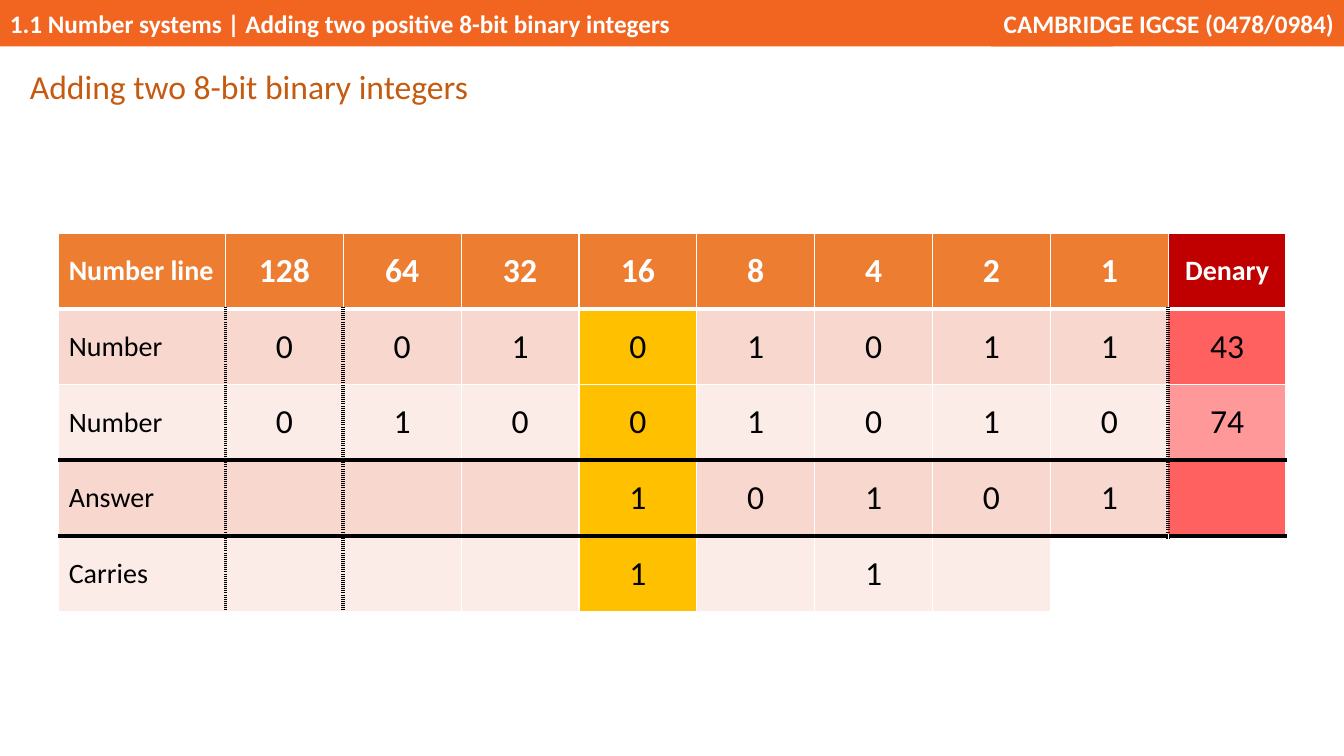
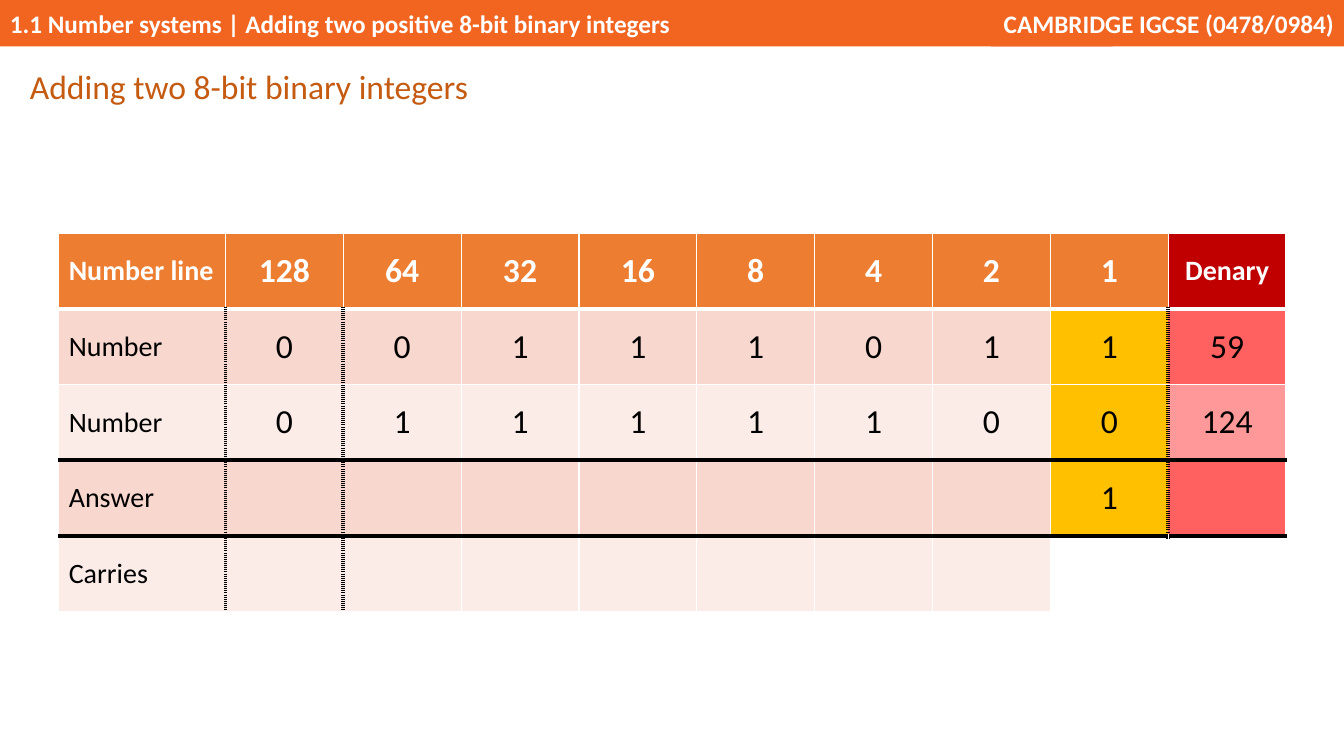
import pptx
import pptx.dml.color
import pptx.enum.shapes
import pptx.enum.text
import pptx.oxml.ns
import pptx.util
from lxml import etree

Cm = pptx.util.Cm
Align = pptx.enum.text.PP_ALIGN
Anchor = pptx.enum.text.MSO_ANCHOR

# Shared colours
BAND, TITLE, HIGHLIGHT = "F26521", "C55A11", "FFC000"
WHITE, BLACK = "FFFFFF", "000000"
HEADER, DENARY_HEADER = "ED7D31", "C00000"
ROW_FILLS = ["F8D7CE", "FCECE8"]
DENARY_FILLS = ["FF6161", "FF9999"]


def rgb(value):
    return pptx.dml.color.RGBColor.from_string(value)


def write(frame, text, size=24, color=BLACK, bold=False, align=Align.LEFT,
          line_spacing=None, space_after=None):
    paragraph = frame.paragraphs[0]
    paragraph.alignment = align
    paragraph.line_spacing = line_spacing
    paragraph.space_after = space_after
    run = paragraph.add_run()
    run.text = text
    run.font.name = "Calibri"
    run.font.size = pptx.util.Pt(size)
    run.font.bold = bold
    run.font.color.rgb = rgb(color)


# Slide content: each sum and the column being added
HEADINGS = ["Number line", "128", "64", "32", "16", "8", "4", "2", "1", "Denary"]
LABELS = ["Number", "Number", "Answer", "Carries"]
BITS_COLUMN, DENARY_COLUMN = 8, 9
CARRIES_ROW = 4
sums = [
    {"active": 4, "rows": [
        ["0", "0", "1", "0", "1", "0", "1", "1", "43"],
        ["0", "1", "0", "0", "1", "0", "1", "0", "74"],
        ["", "", "", "1", "0", "1", "0", "1", ""],
        ["", "", "", "1", "", "1", "", "", ""]]},
    {"active": 8, "rows": [
        ["0", "0", "1", "1", "1", "0", "1", "1", "59"],
        ["0", "1", "1", "1", "1", "1", "0", "0", "124"],
        ["", "", "", "", "", "", "", "1", ""],
        [""] * 9]},
]

# Rules between cells: (colour, points, dash)
THIN = (WHITE, 1, "solid")
HEADER_RULE = (WHITE, 3, "solid")
SUM_RULE = (BLACK, 3, "solid")
DOTTED = (BLACK, 3, "dot")
ROW_RULES = {1: HEADER_RULE, 3: SUM_RULE, 4: SUM_RULE}
DOTTED_EDGES = [1, 2, 9]

deck = pptx.Presentation()
deck.slide_width, deck.slide_height = Cm(33.87), Cm(19.05)
layout = deck.slide_layouts[5]
for holder in list(layout.placeholders):
    if holder.placeholder_format.type != pptx.enum.shapes.PP_PLACEHOLDER.TITLE:
        holder.element.getparent().remove(holder.element)
slides = [deck.slides.add_slide(layout) for _ in sums]

# Header bands, moved to the layout so that all slides share them
for left, width, words, align in [
        (0, 28.04, "1.1 Number systems | Adding two positive 8-bit binary integers", Align.LEFT),
        (24.97, 8.9, "CAMBRIDGE IGCSE (0478/0984)", Align.RIGHT)]:
    band = slides[0].shapes.add_shape(
        pptx.enum.shapes.MSO_SHAPE.RECTANGLE, Cm(left), 0, Cm(width), Cm(1.17))
    band.shadow.inherit = False
    band.fill.solid()
    band.fill.fore_color.rgb = rgb(BAND)
    band.line.fill.background()
    band.text_frame.word_wrap = True
    band.text_frame.vertical_anchor = Anchor.MIDDLE
    write(band.text_frame, words, size=18, color=WHITE, bold=True, align=align)
    layout.shapes.element.append(band.element)

for slide, addition in zip(slides, sums):
    # Title
    title = slide.shapes.title
    title.left, title.top, title.width, title.height = Cm(0.5), Cm(1.45), Cm(12.2), Cm(1.3)
    title.text_frame.word_wrap = True
    title.text_frame.auto_size = pptx.enum.text.MSO_AUTO_SIZE.NONE
    title.text_frame.vertical_anchor = Anchor.TOP
    write(title.text_frame, "Adding two 8-bit binary integers", color=TITLE,
          line_spacing=1.07, space_after=pptx.util.Pt(8))

    # Addition table
    grid = [HEADINGS] + [[label] + row for label, row in zip(LABELS, addition["rows"])]
    table = slide.shapes.add_table(
        len(grid), len(HEADINGS), Cm(1.48), Cm(5.87), Cm(30.93), Cm(9.55)).table
    table.horz_banding = False
    for index, column in enumerate(table.columns):
        column.width = Cm(2.97 if index else 4.2)
    for row in table.rows:
        row.height = Cm(1.91)

    for r, values in enumerate(grid):
        for c, value in enumerate(values):
            cell = table.cell(r, c)
            cell.vertical_anchor = Anchor.MIDDLE

            # Cell borders
            sides = {"lnT": ROW_RULES.get(r, THIN), "lnB": ROW_RULES.get(r + 1, THIN)}
            for side, edge in [("lnL", c), ("lnR", c + 1)]:
                dotted = edge in DOTTED_EDGES and r > 0
                if r == CARRIES_ROW and edge == DENARY_COLUMN:
                    dotted = False
                sides[side] = DOTTED if dotted else THIN
            properties = cell._tc.get_or_add_tcPr()
            for side in ["lnL", "lnR", "lnT", "lnB"]:
                color, points, dash = sides[side]
                line = etree.SubElement(properties, pptx.oxml.ns.qn("a:" + side),
                                        w=str(pptx.util.Pt(points)))
                solid = etree.SubElement(line, pptx.oxml.ns.qn("a:solidFill"))
                etree.SubElement(solid, pptx.oxml.ns.qn("a:srgbClr"), val=color)
                etree.SubElement(line, pptx.oxml.ns.qn("a:prstDash"), val=dash)

            # Cell fill
            if r == 0:
                fill = DENARY_HEADER if c == DENARY_COLUMN else HEADER
            elif r == CARRIES_ROW and c >= BITS_COLUMN:
                fill = WHITE
            elif c == addition["active"]:
                fill = HIGHLIGHT
            else:
                fill = (DENARY_FILLS if c == DENARY_COLUMN else ROW_FILLS)[(r - 1) % 2]
            cell.fill.solid()
            cell.fill.fore_color.rgb = rgb(fill)

            # Cell text
            if value:
                small = c == 0 or value == "Denary"
                write(cell.text_frame, value, size=20 if small else 24,
                      color=BLACK if r else WHITE, bold=r == 0,
                      align=Align.CENTER if c else Align.LEFT)

deck.save("out.pptx")
